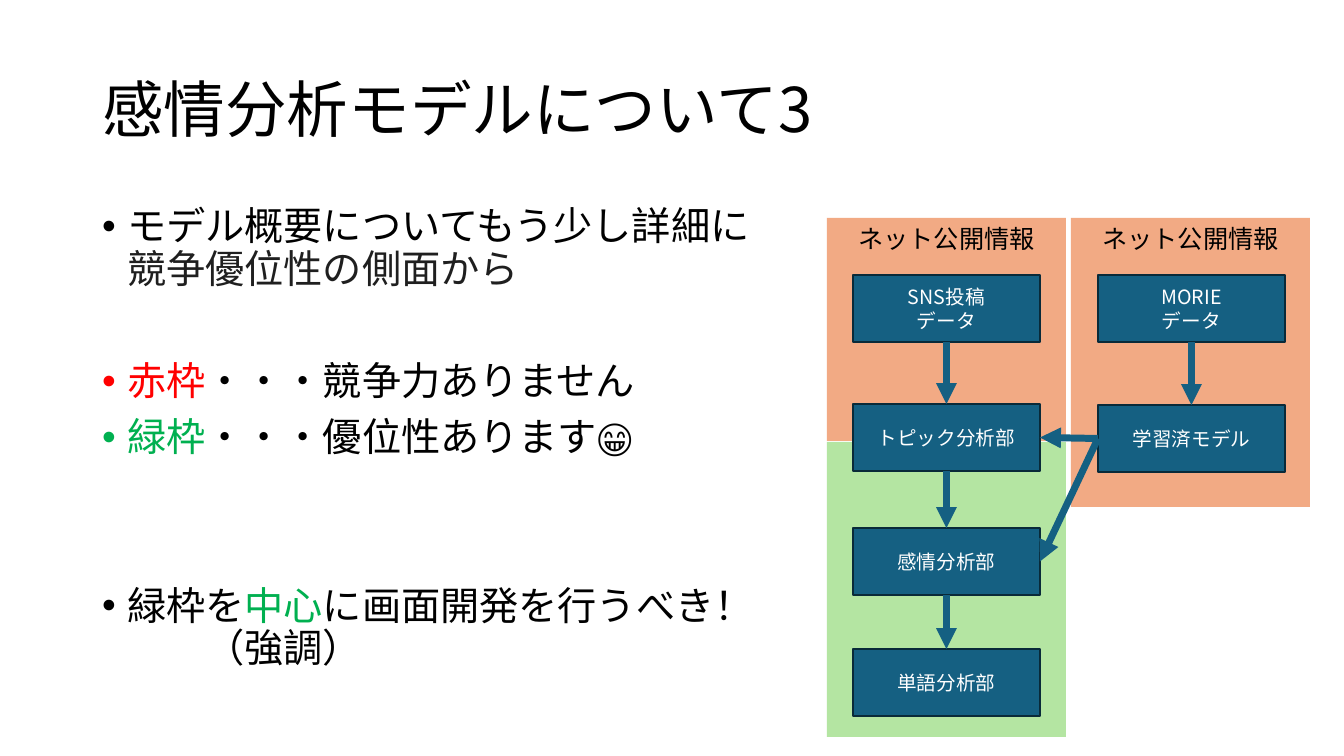
import pptx
import pptx.util
import pptx.dml.color
import pptx.enum.shapes
import pptx.enum.text
import pptx.oxml.ns
import lxml.etree
from dataclasses import dataclass


# Theme
@dataclass(frozen=True)
class Theme:
    font: str = "Noto Sans CJK JP"
    latin: str = "Arial"
    black: str = "000000"
    white: str = "FFFFFF"
    grey: str = "1F1F1F"
    red: str = "FF0000"
    green: str = "00B050"
    open_zone: str = "F2AA84"
    own_zone: str = "B4E5A2"
    node: str = "156082"
    node_line: str = "092A39"
    title_pt: int = 44
    body_pt: int = 28
    zone_pt: int = 18
    node_pt: int = 14


T = Theme()

# Content: lengths in px
SLIDE = (1344, 756)
TITLE = ("感情分析モデルについて3", (92, 40, 1159, 146))
BODY_BOX = (92, 202, 1159, 480)
# space before in points, then runs of (text, colour, font)
BULLETS = [
    (10, [("モデル概要についてもう少し詳細に\n", T.black, T.font),
          ("競争優位性の側面から", T.grey, T.latin)]),
    (50, [("赤枠", T.red, T.font), ("・・・競争力ありません", T.black, T.font)]),
    (10, [("緑枠", T.green, T.font), ("・・・優位性あります😁", T.black, T.font)]),
    (90, [("緑枠を", T.black, T.font), ("中心", T.green, T.font),
          ("に画面開発を行うべき！\n\u3000\u3000（強調）".replace("\u3000", "　"), T.black, T.font)]),
]
ZONES = [
    ("", T.own_zone, (827, 442, 239, 295)),
    ("ネット公開情報", T.open_zone, (827, 218, 239, 223)),
    ("ネット公開情報", T.open_zone, (1071, 218, 239, 289)),
]
NODE_SIZE = (187, 67)
MAIN_X, SIDE_X = 853, 1098
NODES = {
    "post": ("SNS投稿\nデータ", MAIN_X, 275),
    "topic": ("トピック分析部", MAIN_X, 404),
    "emotion": ("感情分析部", MAIN_X, 528),
    "word": ("単語分析部", MAIN_X, 649),
    "corpus": ("MORIE\nデータ", SIDE_X, 275),
    "model": ("学習済モデル", SIDE_X, 405),
}
TOP, LEFT, BOTTOM, RIGHT = range(4)
ARROWS = [
    ("post", BOTTOM, "topic", TOP),
    ("topic", BOTTOM, "emotion", TOP),
    ("emotion", BOTTOM, "word", TOP),
    ("corpus", BOTTOM, "model", TOP),
    ("model", LEFT, "emotion", RIGHT),
    ("model", LEFT, "topic", RIGHT),
]


# Helpers
def px(n):
    return round(n * 914400 / 100.8)


def rgb(code):
    return pptx.dml.color.RGBColor.from_string(code)


def sub(parent, tag, **attrs):
    return lxml.etree.SubElement(parent, pptx.oxml.ns.qn(tag), **attrs)


def place(sp, box):
    sp.left, sp.top, sp.width, sp.height = map(px, box)


def add_text(p, text, size, color, font=T.font):
    for i, line in enumerate(text.split("\n")):
        if i:
            p.add_line_break()
        if line:
            r = p.add_run()
            r.text = line
            r.font.size = pptx.util.Pt(size)
            r.font.color.rgb = rgb(color)
            r.font.name = font
            sub(r.font._element, "a:ea", typeface=T.font)


def add_rect(box, fill, text, size, color, anchor, line=None):
    sp = s.shapes.add_shape(pptx.enum.shapes.MSO_SHAPE.RECTANGLE, *map(px, box))
    sp.shadow.inherit = False
    sp.fill.solid()
    sp.fill.fore_color.rgb = rgb(fill)
    if line:
        sp.line.color.rgb = rgb(line)
        sp.line.width = pptx.util.Pt(1.5)
    else:
        sp.line.fill.background()
    tf = sp.text_frame
    tf.vertical_anchor = anchor
    p = tf.paragraphs[0]
    p.alignment = pptx.enum.text.PP_ALIGN.CENTER
    add_text(p, text, size, color)
    return sp


ANCHOR = pptx.enum.text.MSO_ANCHOR
prs = pptx.Presentation()
prs.slide_width, prs.slide_height = map(px, SLIDE)
s = prs.slides.add_slide(prs.slide_layouts[1])

# Title
title, body = s.shapes.title, s.placeholders[1]
place(title, TITLE[1])
tf = title.text_frame
tf.auto_size = pptx.enum.text.MSO_AUTO_SIZE.NONE
tf.vertical_anchor = ANCHOR.MIDDLE
p = tf.paragraphs[0]
p.alignment = pptx.enum.text.PP_ALIGN.LEFT
p.line_spacing = 0.9
add_text(p, TITLE[0], T.title_pt, T.black)

# Bullets
place(body, BODY_BOX)
tf = body.text_frame
tf.auto_size = pptx.enum.text.MSO_AUTO_SIZE.NONE
for i, (before, runs) in enumerate(BULLETS):
    p = tf.add_paragraph() if i else tf.paragraphs[0]
    p.line_spacing = 0.9
    p.space_before = pptx.util.Pt(before)
    indent = pptx.util.Inches(0.25)
    pPr = p._p.get_or_add_pPr()
    pPr.set("marL", str(indent))
    pPr.set("indent", str(-indent))
    for text, color, font in runs:
        add_text(p, text, T.body_pt, color, font)

# Zones and nodes
for text, fill, box in ZONES:
    add_rect(box, fill, text, T.zone_pt, T.black, ANCHOR.TOP)
nodes = {key: add_rect((x, y, *NODE_SIZE), T.node, text, T.node_pt, T.white,
                       ANCHOR.MIDDLE, T.node_line)
         for key, (text, x, y) in NODES.items()}

# Arrows
for start, start_side, end, end_side in ARROWS:
    c = s.shapes.add_connector(pptx.enum.shapes.MSO_CONNECTOR.STRAIGHT, 0, 0, 0, 0)
    c.begin_connect(nodes[start], start_side)
    c.end_connect(nodes[end], end_side)
    c.line.color.rgb = rgb(T.node)
    c.line.width = pptx.util.Pt(5)
    sub(c.line._get_or_add_ln(), "a:tailEnd", type="triangle")
    sub(c._element.spPr, "a:effectLst")

prs.save("out.pptx")
